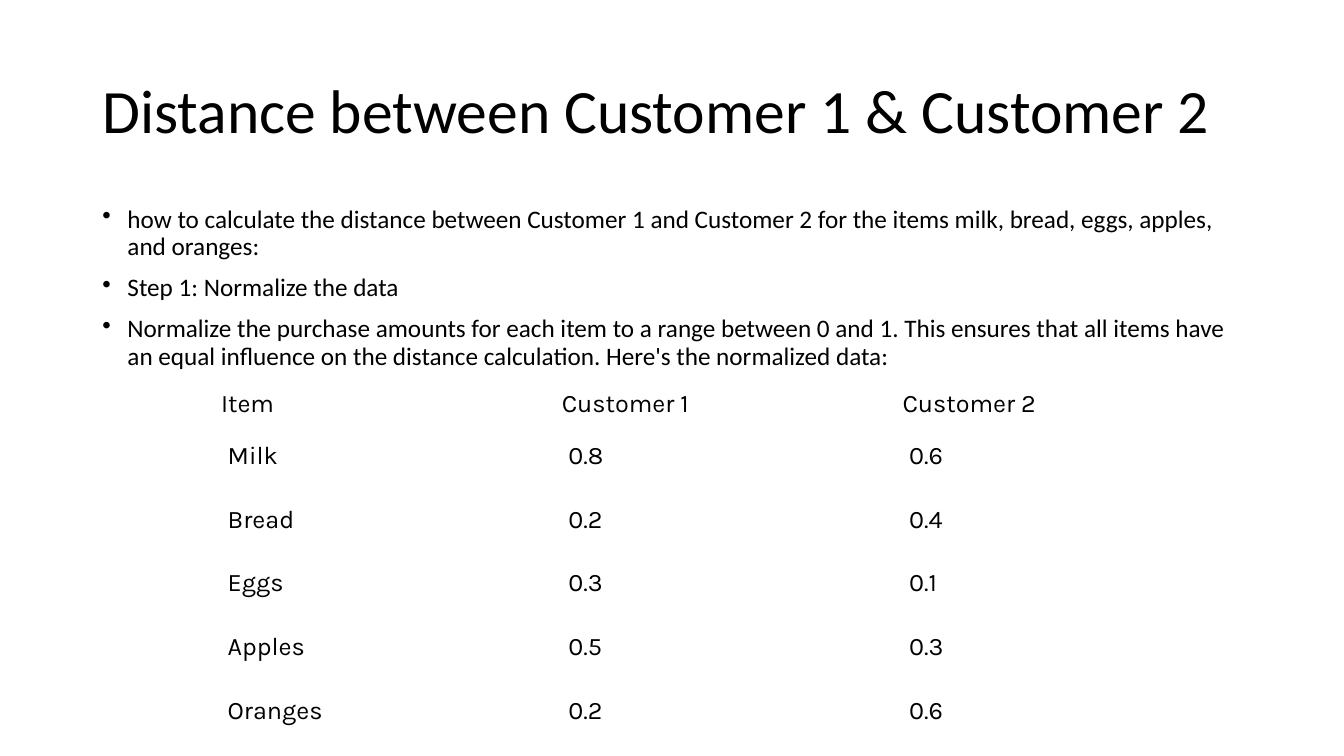
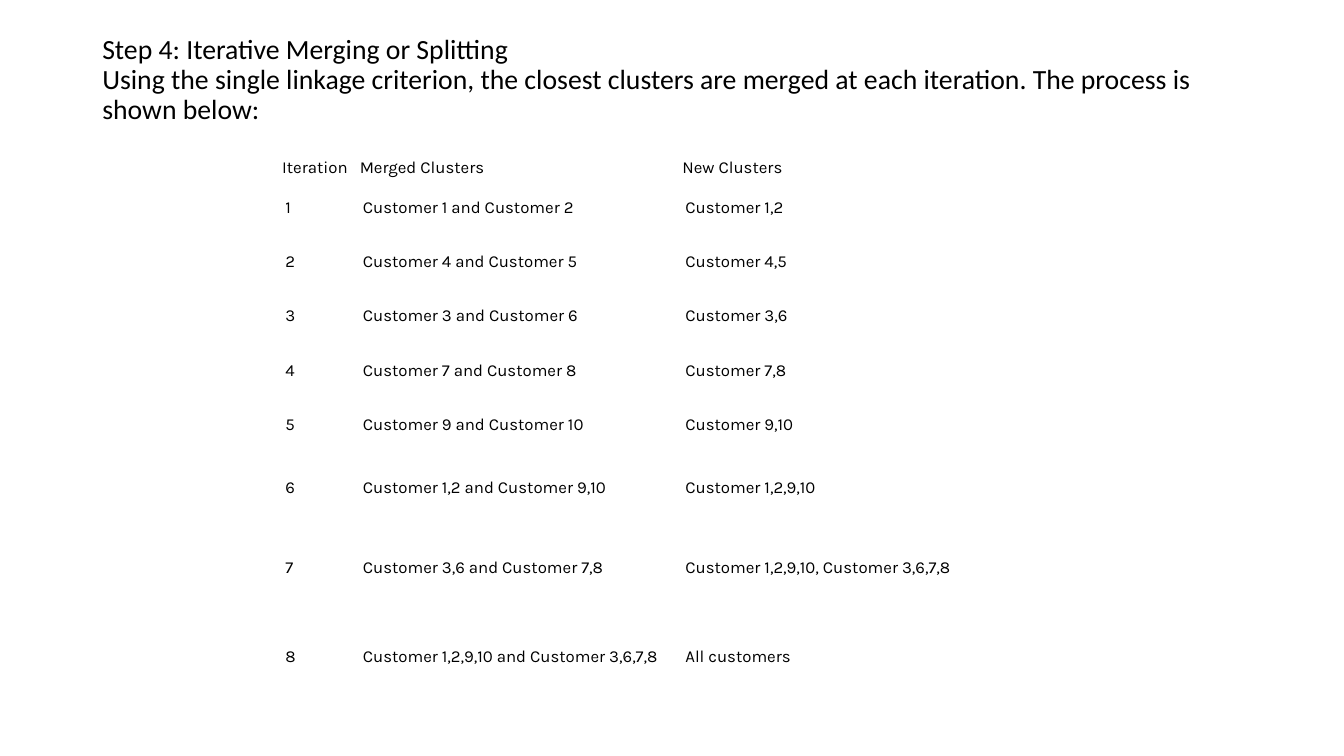
import pptx
import pptx.dml.color
import pptx.enum.text
import pptx.oxml
import pptx.oxml.ns
import pptx.util

Pt = pptx.util.Pt
BLACK = pptx.dml.color.RGBColor(0, 0, 0)
WHITE = pptx.dml.color.RGBColor(255, 255, 255)
MIDDLE = pptx.enum.text.MSO_ANCHOR.MIDDLE


class Deck:
    """Holds the shared style and the slide being built."""

    prose = "Calibri"
    grid = "Karla"
    left = 66
    width = 828

    def __init__(self):
        self.file = pptx.Presentation()
        self.file.slide_width = Pt(960)
        self.file.slide_height = Pt(540)
        self.slide = None

    def add(self):
        self.slide = self.file.slides.add_slide(self.file.slide_layouts[6])

    def style(self, para, size, face):
        for run in para.runs:
            run.font.size = Pt(size)
            run.font.name = face
            run.font.color.rgb = BLACK

    def box(self, top, height):
        shape = self.slide.shapes.add_textbox(
            Pt(self.left), Pt(top), Pt(self.width), Pt(height))
        shape.text_frame.word_wrap = True
        return shape.text_frame

    def title(self, text, size=44, top=28.8, height=104.4):
        frame = self.box(top, height)
        frame.vertical_anchor = MIDDLE
        para = frame.paragraphs[0]
        para.text = text
        para.line_spacing = 0.9
        self.style(para, size, self.prose)

    def bullets(self, items, top, height, size=18):
        frame = self.box(top, height)
        frame.text = "\n".join(items)
        for index, para in enumerate(frame.paragraphs):
            props = para._p.get_or_add_pPr()
            props.set("marL", str(Pt(18)))
            props.set("indent", str(Pt(-18)))
            mark = pptx.oxml.parse_xml(
                f'<a:buChar {pptx.oxml.ns.nsdecls("a")} char="•"/>')
            props.append(mark)
            para.line_spacing = 0.9
            if index:
                para.space_before = Pt(10)
            self.style(para, size, self.prose)

    def table(self, rows, left, top, widths, heights, size, head, pad):
        table = self.slide.shapes.add_table(
            len(rows), len(widths), Pt(left), Pt(top),
            Pt(sum(widths)), Pt(sum(heights))).table
        table.first_row = False
        table.horz_banding = False
        for column, width in zip(table.columns, widths):
            column.width = Pt(width)
        for index, (row, height) in enumerate(zip(table.rows, heights)):
            row.height = Pt(height)
            side, edge = (pad, pad) if index else head
            for cell, text in zip(row.cells, rows[index]):
                cell.text_frame.text = text
                cell.vertical_anchor = MIDDLE
                cell.margin_left = cell.margin_right = Pt(side)
                cell.margin_top = cell.margin_bottom = Pt(edge)
                cell.fill.solid()
                cell.fill.fore_color.rgb = WHITE
                self.style(cell.text_frame.paragraphs[0], size, self.grid)


def main():
    deck = Deck()

    deck.add()
    deck.title("Distance between Customer 1 & Customer 2")
    deck.bullets([
        "how to calculate the distance between Customer 1 and Customer 2 "
        "for the items milk, bread, eggs, apples, and oranges:",
        "Step 1: Normalize the data",
        "Normalize the purchase amounts for each item to a range between "
        "0 and 1. This ensures that all items have an equal influence on "
        "the distance calculation. Here's the normalized data:",
    ], top=144, height=342.6)
    deck.table([
        ("Item", "Customer 1", "Customer 2"),
        ("Milk", "0.8", "0.6"),
        ("Bread", "0.2", "0.4"),
        ("Eggs", "0.3", "0.1"),
        ("Apples", "0.5", "0.3"),
        ("Oranges", "0.2", "0.6"),
    ], left=150.7, top=274, widths=[243.4] * 3, heights=[28.8] + [45] * 5,
        size=18, head=(7.2, 3.6), pad=12)

    deck.add()
    deck.title(
        "Step 4: Iterative Merging or Splitting\n"
        "Using the single linkage criterion, the closest clusters are merged "
        "at each iteration. The process is shown below:",
        size=19.8, top=18, height=79)
    deck.table([
        ("Iteration", "Merged Clusters", "New Clusters"),
        ("1", "Customer 1 and Customer 2", "Customer 1,2"),
        ("2", "Customer 4 and Customer 5", "Customer 4,5"),
        ("3", "Customer 3 and Customer 6", "Customer 3,6"),
        ("4", "Customer 7 and Customer 8", "Customer 7,8"),
        ("5", "Customer 9 and Customer 10", "Customer 9,10"),
        ("6", "Customer 1,2 and Customer 9,10", "Customer 1,2,9,10"),
        ("7", "Customer 3,6 and Customer 7,8",
         "Customer 1,2,9,10, Customer 3,6,7,8"),
        ("8", "Customer 1,2,9,10 and Customer 3,6,7,8", "All customers"),
    ], left=198, top=111, widths=[55.4, 230.4, 305.3],
        heights=[16.8] + [38.8] * 5 + [51] + [63.4] * 2,
        size=12, head=(3.6, 1.8), pad=5.8)

    deck.file.save("out.pptx")


if __name__ == "__main__":
    main()
